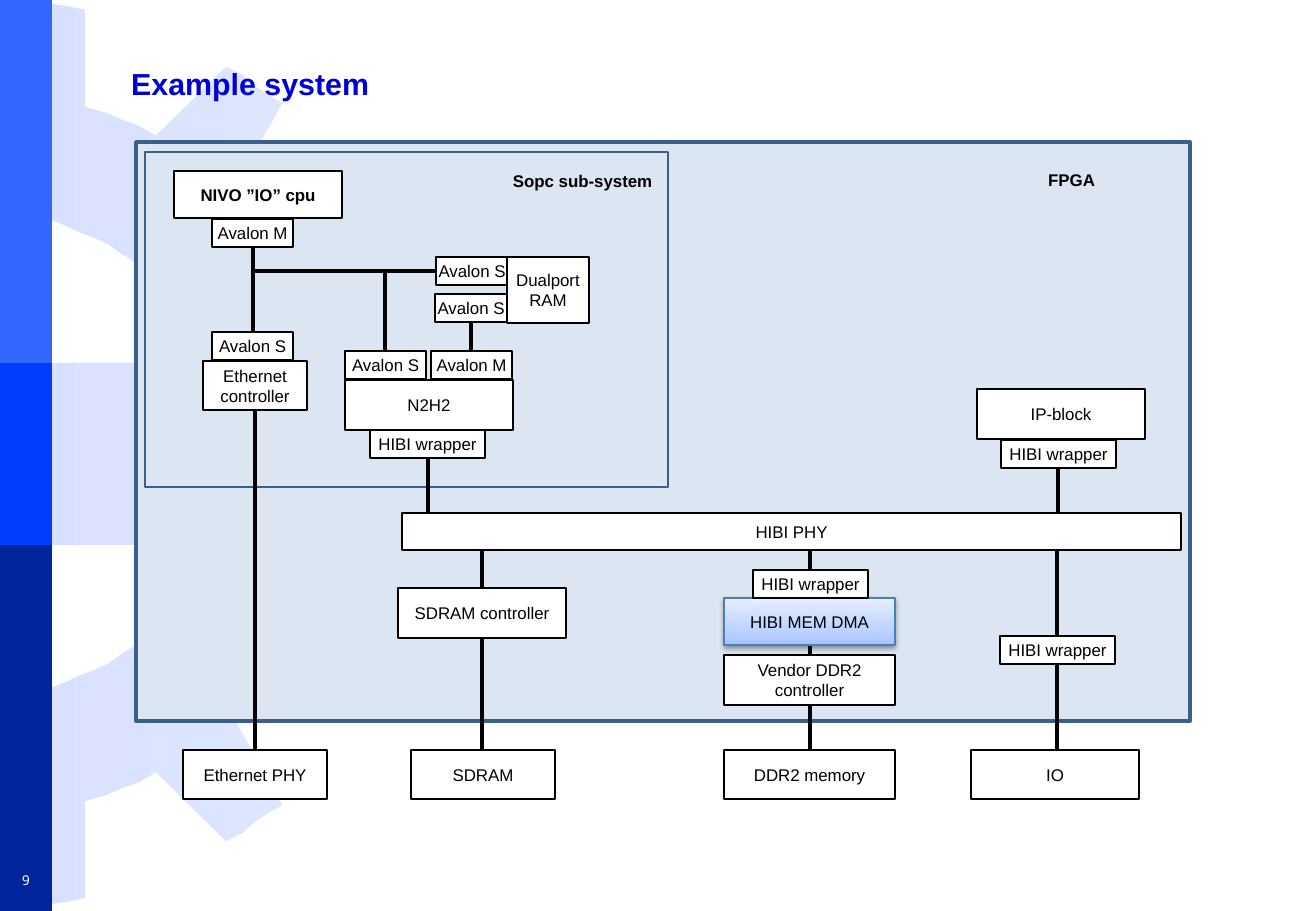
"""Build the example system slide: an FPGA block diagram beside a gear backdrop."""
from copy import deepcopy

from lxml import etree
from pptx import Presentation
from pptx.dml.color import RGBColor
from pptx.enum.shapes import MSO_CONNECTOR, MSO_SHAPE
from pptx.enum.text import MSO_ANCHOR, MSO_AUTO_SIZE, PP_ALIGN
from pptx.oxml.ns import qn
from pptx.util import Pt

RECT, STRAIGHT = MSO_SHAPE.RECTANGLE, MSO_CONNECTOR.STRAIGHT
MIDDLE, LEFT, CENTER = MSO_ANCHOR.MIDDLE, PP_ALIGN.LEFT, PP_ALIGN.CENTER
NO_AUTOFIT = MSO_AUTO_SIZE.NONE
EMU_PER_PX = 914400 / 121.5
COLORS = {name: RGBColor.from_string(value) for name, value in {
    "white": "FFFFFF", "black": "000000", "title": "0000D6",
    "band_top": "3366FF", "band_bottom": "00259C", "band_middle": "003CFC",
    "frame": "DCE6F2", "frame_edge": "3A5F8C",
    "gear_left": "D7E1FF", "gear_right": "E3EAFF", "dma_edge": "4B7EBC",
    "dma_low": "A4C4FF", "dma_mid": "BFD4FF", "dma_high": "E6EEFF"}.items()}


def add_rect(box, fill, edge=None, width=1):
    rect = slide.shapes.add_shape(RECT, *(round(v * EMU_PER_PX) for v in box))
    rect.shadow.inherit = False
    rect.fill.solid()
    rect.fill.fore_color.rgb = COLORS[fill]
    if edge:
        rect.line.color.rgb = COLORS[edge]
        rect.line.width = Pt(width)
    else:
        rect.line.fill.background()
    return rect


def set_text(shape, text, size=10, color="black", font="Arial", bold=False,
             align=CENTER, tight=False):
    frame = shape.text_frame
    frame.text = text
    frame.auto_size = NO_AUTOFIT
    frame.vertical_anchor = MIDDLE
    frame.word_wrap = not tight
    if tight:
        frame.margin_left = frame.margin_right = 0
        frame.margin_top = frame.margin_bottom = 0
    for paragraph in frame.paragraphs:
        paragraph.alignment = align
        paragraph.font.size = Pt(size)
        paragraph.font.name = font
        paragraph.font.bold = bold
        paragraph.font.color.rgb = COLORS[color]


deck = Presentation()
deck.slide_width = round(1316 * EMU_PER_PX)
deck.slide_height = round(911 * EMU_PER_PX)
slide = deck.slides.add_slide(deck.slide_layouts[5])

GEAR_HEIGHT = 908
gear_top = [
    (450, 436), (446, 422), (347, 406), (344, 389), (341, 371), (334, 354),
    (332, 332), (411, 276), (405, 260), (397, 248), (389, 233), (382, 219),
    (287, 249), (273, 233), (261, 219), (250, 205), (233, 191), (282, 103),
    (266, 94), (253, 85), (242, 75), (226, 67), (156, 136), (139, 126),
    (122, 120), (106, 113), (85, 107), (85, 10), (67, 6), (51, 4), (35, 1),
    (17, 0), (17, 214), (34, 219), (51, 220), (66, 226), (79, 232), (95, 238),
    (108, 244), (122, 254), (135, 262), (145, 275), (158, 284), (169, 294),
    (179, 307), (188, 321), (194, 335), (203, 347), (210, 363), (0, 363)]
gear_bottom = [(x, GEAR_HEIGHT - y) for x, y in reversed(gear_top)]
outline = slide.shapes.build_freeform(*gear_top[0], scale=EMU_PER_PX)
outline.add_line_segments(gear_top[1:] + gear_bottom, close=True)
gear = outline.convert_to_shape()
gear.shadow.inherit = False
gear.line.fill.background()
gear.fill.gradient()
gear.fill.gradient_angle = 0
for stop, color in zip(gear.fill.gradient_stops, ("gear_left", "gear_right")):
    stop.color.rgb = COLORS[color]

for top, height, color in ((0, 371, "band_top"), (542, 369, "band_bottom"),
                           (363, 182, "band_middle")):
    add_rect((0, top, 52, height), color)

add_rect((136, 142, 1054, 579), "frame", "frame_edge", 2)
add_rect((145, 152, 523, 335), "frame", "frame_edge", 1.5)

title = slide.shapes.title
slide.shapes._spTree.append(title._element)
title.left, title.top, title.width, title.height = (
    round(v * EMU_PER_PX) for v in (119, 26, 1139, 114))
set_text(title, "Example system", 18, "title", bold=True, align=LEFT)

wires = [
    (253, 271, 436, 271), (253, 247, 253, 333), (385, 270, 385, 351),
    (471, 322, 471, 351), (255, 411, 255, 750), (482, 550, 482, 588),
    (482, 638, 482, 750), (810, 550, 810, 570), (428, 458, 428, 513),
    (810, 705, 810, 750), (1057, 550, 1057, 636), (1057, 664, 1057, 750),
    (1058, 468, 1058, 513), (810, 645, 810, 655)]
for ends in wires:
    wire = slide.shapes.add_connector(STRAIGHT, *(round(v * EMU_PER_PX) for v in ends))
    wire.line.color.rgb = COLORS["black"]
    wire.line.width = Pt(2)
    etree.SubElement(wire._element.spPr, qn("a:effectLst"))

blocks = [
    ("Ethernet PHY", 183, 750, 144, 49), ("SDRAM", 411, 750, 144, 49),
    ("DDR2 memory", 724, 750, 171, 49), ("IO", 971, 750, 168, 49),
    ("NIVO ”IO” cpu", 174, 171, 168, 47), ("Ethernet controller", 203, 361, 104, 49),
    ("SDRAM controller", 398, 588, 168, 50), ("IP-block", 977, 389, 168, 50),
    ("Vendor DDR2 controller", 724, 655, 171, 50), ("N2H2", 345, 380, 168, 50),
    ("HIBI PHY", 402, 513, 779, 37)]
for label, *box in blocks:
    set_text(add_rect(box, "white", "black"), label, bold=label.endswith("cpu"))

mem_dma = add_rect((724, 598, 171, 47), "white", "dma_edge", 0.75)
set_text(mem_dma, "HIBI MEM DMA", tight=True)
mem_dma.fill.gradient()
mem_dma.fill.gradient_angle = 90
stop_list = mem_dma._element.spPr.find(".//" + qn("a:gsLst"))
stop_list.insert(1, deepcopy(stop_list[0]))
stop_list[1].set("pos", "35000")
for stop, color in zip(mem_dma.fill.gradient_stops, ("dma_low", "dma_mid", "dma_high")):
    stop.color.rgb = COLORS[color]
shadow = etree.SubElement(mem_dma._element.spPr.find(qn("a:effectLst")), qn("a:outerShdw"),
                          blurRad="39370", dist="20320", dir="5400000", rotWithShape="0")
shade = etree.SubElement(shadow, qn("a:srgbClr"), val=str(COLORS["black"]))
etree.SubElement(shade, qn("a:alpha"), val="38000")

ports = [
    ("Avalon M", 212, 219, 81), ("Avalon S", 212, 332, 81),
    ("Avalon S", 436, 257, 72), ("Avalon S", 435, 294, 72),
    ("Avalon S", 345, 351, 81), ("Avalon M", 431, 351, 81),
    ("HIBI wrapper", 370, 430, 115), ("HIBI wrapper", 1001, 440, 115),
    ("HIBI wrapper", 1000, 636, 115), ("HIBI wrapper", 753, 570, 115)]
for label, left, top, width in ports:
    set_text(add_rect((left, top, width, 28), "white", "black"), label, tight=True)
set_text(add_rect((507, 257, 82, 66), "white", "black"), "Dualport\nRAM", tight=True)

captions = [
    ("Sopc sub-system", (497, 152, 171, 58), {"bold": True}),
    ("FPGA", (953, 142, 237, 75), {"bold": True}),
    ("9", (0, 864, 52, 32),
     {"size": 8, "color": "white", "font": "Noto Sans Mono", "tight": True})]
for label, box, style in captions:
    caption = slide.shapes.add_textbox(*(round(v * EMU_PER_PX) for v in box))
    set_text(caption, label, **style)

deck.save("out.pptx")
